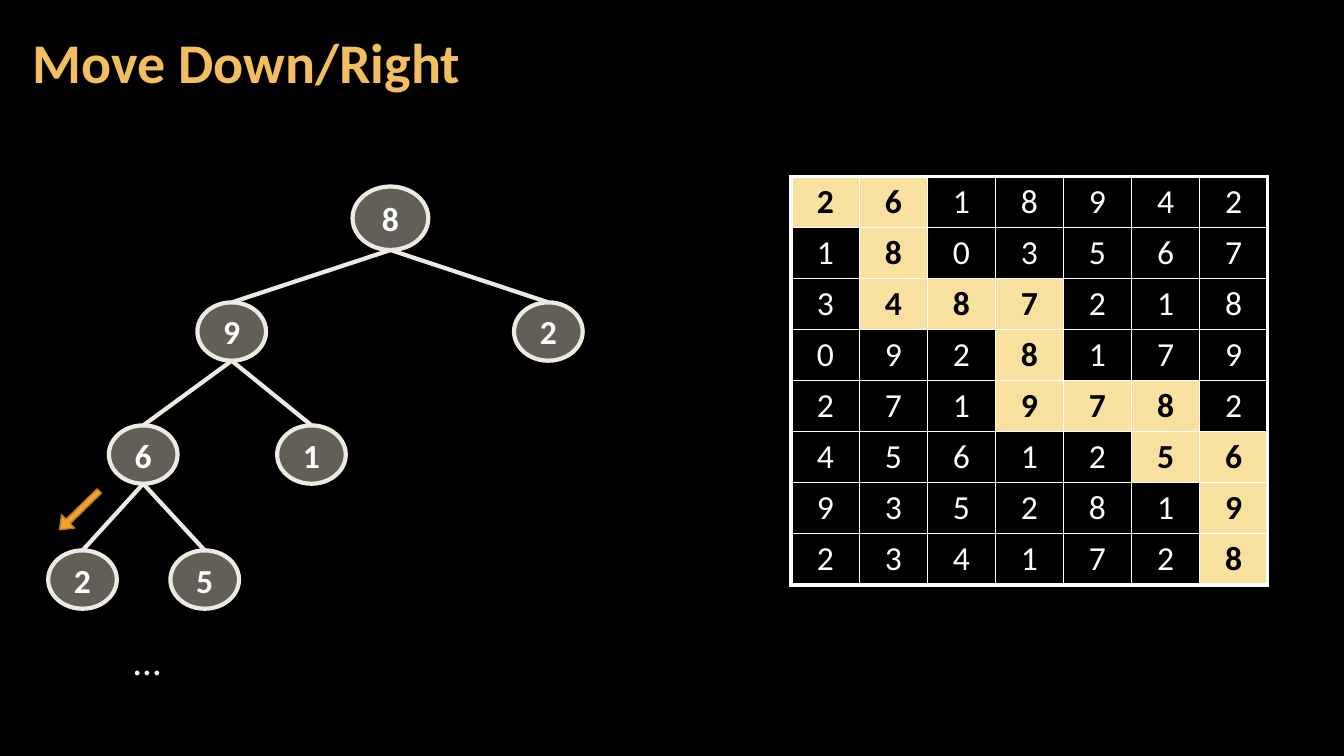
import pptx
import pptx.dml.color
import pptx.enum.shapes
import pptx.enum.text
import pptx.oxml
import pptx.oxml.ns
import pptx.util
from pptx.util import Cm

FONT = "Calibri"
COLORS = {
    "background": "000000",
    "title": "F3BE60",
    "light": "FFFFFF",
    "dark": "000000",
    "node": "C7BFAC",
    "outline": "ECEAE3",
    "arrow": "F0A22E",
    "arrow_edge": "B27822",
    "path": "F8E19F",
}

# key: (label, centre x, top, parent key), in cm within the tree's box
NODES = {
    "root": ("8", 8.62, 0, None),
    "left": ("9", 4.62, 2.92, "root"),
    "right": ("2", 12.6, 2.92, "root"),
    "left_left": ("6", 2.39, 6.02, "left"),
    "left_right": ("1", 6.63, 6.02, "left"),
    "leaf_left": ("2", 0.86, 9.17, "left_left"),
    "leaf_right": ("5", 3.94, 9.17, "left_left"),
}
ROOT_SIZE = (1.91, 1.6)
NODE_SIZE = (1.73, 1.47)

GRID = ["2618942", "1803567", "3487218", "0928179",
        "2719782", "4561256", "9352819", "2341728"]
# first and last column of the walk in each row
PATH = [(0, 1), (1, 1), (1, 3), (3, 3), (3, 5), (5, 6), (6, 6), (6, 6)]


def color(name):
    return pptx.dml.color.RGBColor.from_string(COLORS[name])


def style_text(paragraph, size, color_name, bold=False, align=None):
    paragraph.alignment = align
    for run in paragraph.runs:
        run.font.name = FONT
        run.font.size = pptx.util.Pt(size)
        run.font.bold = bold
        run.font.color.rgb = color(color_name)


def style_line(line, color_name, width):
    line.color.rgb = color(color_name)
    line.width = pptx.util.Pt(width)


def add_title(slide, left, top, width, height):
    title = slide.shapes.title
    title.left, title.top = Cm(left), Cm(top)
    title.width, title.height = Cm(width), Cm(height)
    frame = title.text_frame
    frame.text = "Move Down/Right"
    frame.auto_size = pptx.enum.text.MSO_AUTO_SIZE.NONE
    frame.vertical_anchor = pptx.enum.text.MSO_ANCHOR.MIDDLE
    frame.margin_left = frame.margin_right = Cm(0.3)
    frame.margin_top = frame.margin_bottom = Cm(0.11)
    frame.paragraphs[0].line_spacing = 0.9
    style_text(frame.paragraphs[0], 40, "title", True, pptx.enum.text.PP_ALIGN.LEFT)


def add_node(slide, label, center_x, top, size):
    width, height = size
    node = slide.shapes.add_shape(
        pptx.enum.shapes.MSO_SHAPE.OVAL,
        Cm(center_x - width / 2), Cm(top), Cm(width), Cm(height))
    node.shadow.inherit = False
    node.fill.solid()
    node.fill.fore_color.rgb = color("node")
    fill_color = node.element.spPr.find(".//" + pptx.oxml.ns.qn("a:srgbClr"))
    fill_color.append(pptx.oxml.parse_xml(
        f'<a:alpha {pptx.oxml.ns.nsdecls("a")} val="50000"/>'))
    style_line(node.line, "outline", 3)
    frame = node.text_frame
    frame.text = label
    frame.vertical_anchor = pptx.enum.text.MSO_ANCHOR.MIDDLE
    frame.margin_left = frame.margin_right = 0
    frame.margin_top = frame.margin_bottom = Cm(0.11)
    style_text(frame.paragraphs[0], 24, "light", True, pptx.enum.text.PP_ALIGN.CENTER)
    return node


def add_edge(slide, parent, child):
    """Join the parent's bottom to the child's top, behind all nodes."""
    edge = slide.shapes.add_connector(
        pptx.enum.shapes.MSO_CONNECTOR.STRAIGHT,
        parent.left + parent.width // 2, parent.top + parent.height,
        child.left + child.width // 2, child.top)
    edge.end_connect(child, 0)
    style_line(edge.line, "outline", 3)
    edge.element.spPr.append(pptx.oxml.parse_xml(
        f'<a:effectLst {pptx.oxml.ns.nsdecls("a")}/>'))
    slide.shapes.title.element.addnext(edge.element)


def add_tree(slide, left, top):
    nodes = {}
    for key, (label, x, y, parent) in NODES.items():
        size = NODE_SIZE if parent else ROOT_SIZE
        nodes[key] = add_node(slide, label, left + x, top + y, size)
    for key, (_, _, _, parent) in NODES.items():
        if parent:
            add_edge(slide, nodes[parent], nodes[key])

    step = slide.shapes.add_shape(
        pptx.enum.shapes.MSO_SHAPE.RIGHT_ARROW,
        Cm(left + 0.08), Cm(top + 7.92), Cm(1.4), Cm(0.48))
    step.shadow.inherit = False
    step.rotation = 135.7
    step.adjustments[0], step.adjustments[1] = 0.324, 0.632
    step.fill.solid()
    step.fill.fore_color.rgb = color("arrow")
    style_line(step.line, "arrow_edge", 1)

    more = slide.shapes.add_textbox(Cm(left + 1.9), Cm(top + 11.2), Cm(1.19), Cm(1.45))
    more.text_frame.text = "…"
    more.text_frame.word_wrap = False
    more.text_frame.auto_size = pptx.enum.text.MSO_AUTO_SIZE.SHAPE_TO_FIT_TEXT
    style_text(more.text_frame.paragraphs[0], 28, "light")


def add_borders(cell, widths):
    """Draw cell borders; widths maps L, R, T and B, in that order, to points."""
    for side, width in widths.items():
        cell._tc.get_or_add_tcPr().append(pptx.oxml.parse_xml(
            f'<a:ln{side} {pptx.oxml.ns.nsdecls("a")} w="{pptx.util.Pt(width)}">'
            f'<a:solidFill><a:srgbClr val="{COLORS["light"]}"/></a:solidFill>'
            f'</a:ln{side}>'))


def add_grid(slide, left, top, width, height):
    rows, columns = len(GRID), len(GRID[0])
    grid = slide.shapes.add_table(
        rows, columns, Cm(left), Cm(top), Cm(width), Cm(height)).table
    grid.first_row = grid.horz_banding = False
    for r, (digits, (first, last)) in enumerate(zip(GRID, PATH)):
        for c, digit in enumerate(digits):
            cell = grid.cell(r, c)
            cell.text_frame.text = digit
            add_borders(cell, {
                "L": 3 if c == 0 else 1,
                "R": 3 if c == columns - 1 else 1,
                "T": 3 if r == 0 else 1,
                "B": 3 if r == rows - 1 else 1,
            })
            on_path = first <= c <= last
            if on_path:
                cell.fill.solid()
                cell.fill.fore_color.rgb = color("path")
            else:
                cell.fill.background()
            style_text(cell.text_frame.paragraphs[0], 24,
                       "dark" if on_path else "light", on_path,
                       pptx.enum.text.PP_ALIGN.CENTER)


def main():
    deck = pptx.Presentation()
    deck.slide_width, deck.slide_height = Cm(33.87), Cm(19.05)
    slide = deck.slides.add_slide(deck.slide_layouts.get_by_name("Title Only"))
    slide.background.fill.solid()
    slide.background.fill.fore_color.rgb = color("background")
    add_title(slide, 0.53, 0.1, 26.59, 3.07)
    add_tree(slide, 1.22, 4.7)
    add_grid(slide, 19.94, 4.45, 12.01, 10.29)
    deck.save("out.pptx")


if __name__ == "__main__":
    main()
